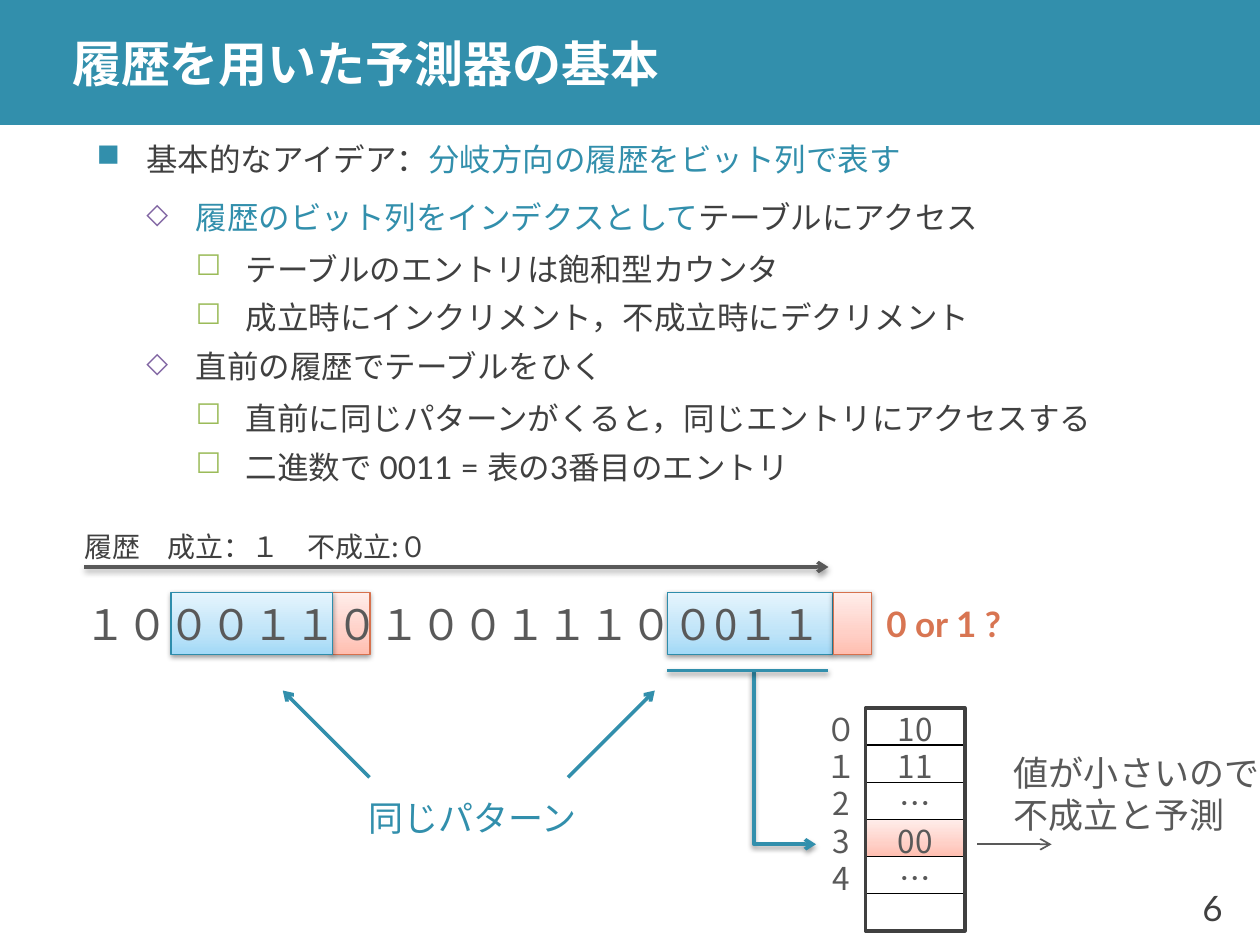
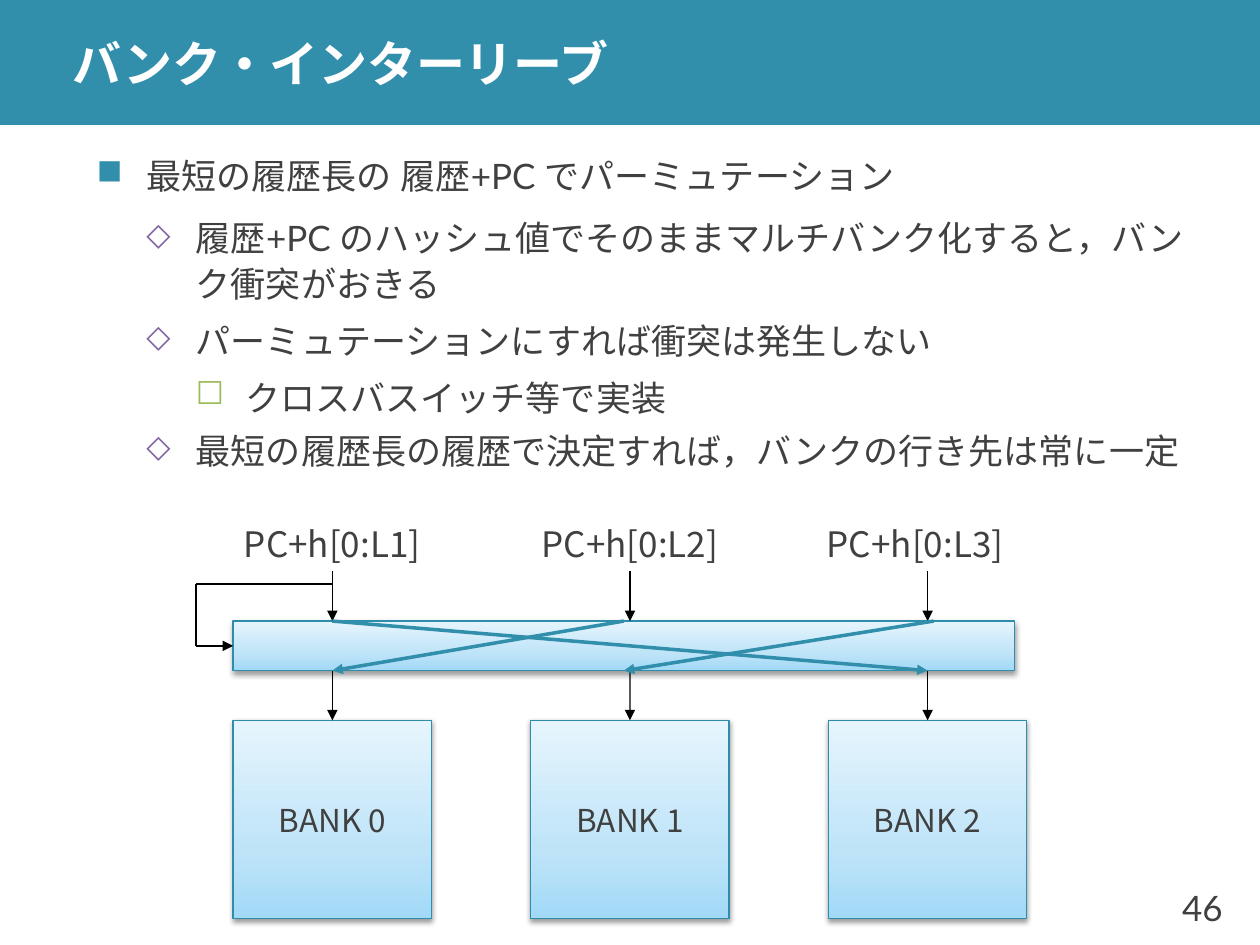
from lxml.etree import SubElement
from pptx import Presentation
from pptx.dml.color import RGBColor
from pptx.enum.shapes import MSO_CONNECTOR, MSO_SHAPE
from pptx.enum.text import MSO_ANCHOR, MSO_AUTO_SIZE, PP_ALIGN
from pptx.oxml.ns import qn
from pptx.util import Cm, Pt

LATO, NOTO = "Lato", "Noto Sans CJK JP"
TEAL, EDGE, RUST = "328FAC", "2E8DAB", "D7714D"
DARK, GRAY, BLACK, WHITE = "404040", "595959", "000000", "FFFFFF"
SKY = ("A2D9F7", "BFE4F8", "E6F5FD")
ROSE = ("FFBEB0", "FFD0C7", "FFEDEA")
MARKS = (
    ("■", TEAL, 100, 6),
    ("◇", "8064A2", 90, 3),
    ("☐", "9BBB59", 90, 1),
)
rgb = RGBColor.from_string


def box(page, x, y, w, h, text="", size=18, tint=GRAY, face=NOTO, fill=None,
        line=None, width=0.75, cast=False, align=PP_ALIGN.CENTER, bold=False, tight=False):
    area = Cm(x), Cm(y), Cm(w), Cm(h)
    if fill or line:
        shape = page.shapes.add_shape(MSO_SHAPE.RECTANGLE, *area)
        props = shape._element.spPr
        if isinstance(fill, tuple):
            grad = SubElement(props, qn("a:gradFill"), rotWithShape="1")
            stops = SubElement(grad, qn("a:gsLst"))
            for pos, tone in zip((0, 35000, 100000), fill):
                stop = SubElement(stops, qn("a:gs"), pos=str(pos))
                SubElement(stop, qn("a:srgbClr"), val=tone)
            SubElement(grad, qn("a:lin"), ang="16200000", scaled="1")
        elif fill:
            shape.fill.solid()
            shape.fill.fore_color.rgb = rgb(fill)
        else:
            shape.fill.background()
        if line:
            shape.line.color.rgb = rgb(line)
            shape.line.width = Pt(width)
        else:
            shape.line.fill.background()
        shape.shadow.inherit = False
        if cast:
            glow = SubElement(props.find(qn("a:effectLst")), qn("a:outerShdw"),
                              blurRad="39000", dist="20000", dir="5400000", rotWithShape="0")
            SubElement(SubElement(glow, qn("a:srgbClr"), val=BLACK), qn("a:alpha"), val="38000")
    else:
        shape = page.shapes.add_textbox(*area)
    if text:
        frame = shape.text_frame
        frame.text = text
        frame.word_wrap = False
        frame.auto_size = MSO_AUTO_SIZE.NONE
        frame.vertical_anchor = MSO_ANCHOR.MIDDLE
        if tight:
            frame.margin_left = frame.margin_right = frame.margin_bottom = 0
            frame.margin_top = Cm(0.1)
        for para in frame.paragraphs:
            para.alignment = align
            font = para.font
            font.name, font.size, font.bold = face, Pt(size), bold
            font.color.rgb = rgb(tint)
            SubElement(font._element, qn("a:ea"), typeface=face)
    return shape


def wire(page, spots, tint=BLACK, width=0.75, tail=None, cast=False):
    dots = [(Cm(x), Cm(y)) for x, y in spots]
    if len(dots) == 2:
        line = page.shapes.add_connector(MSO_CONNECTOR.STRAIGHT, *dots[0], *dots[1])
        fx = None
    else:
        path = page.shapes.build_freeform(*dots[0])
        path.add_line_segments(dots[1:], close=False)
        line = path.convert_to_shape()
        line.fill.background()
    line.line.color.rgb = rgb(tint)
    line.line.width = Pt(width)
    props = line._element.spPr
    if tail:
        SubElement(props.find(qn("a:ln")), qn("a:tailEnd"), type=tail)
    fx = SubElement(props, qn("a:effectLst"))
    if cast:
        glow = SubElement(fx, qn("a:outerShdw"), blurRad="39000", dist="20000",
                          dir="5400000", rotWithShape="0")
        SubElement(SubElement(glow, qn("a:srgbClr"), val=BLACK), qn("a:alpha"), val="38000")
    return line


deck = Presentation()
deck.slide_width, deck.slide_height = Cm(25.4), Cm(19.05)
plain = deck.slide_layouts[5]

HOT = ("分岐方向の履歴をビット列で表す", "履歴のビット列をインデクスとして")
TALKS = (
    ("履歴を用いた予測器の基本", "6", (1.7, 4.52, 22.25, 3.5), 18, (
        (0, "基本的なアイデア：", HOT[0]),
        (1, HOT[1], "テーブルにアクセス"),
        (2, "テーブルのエントリは飽和型カウンタ"),
        (2, "成立時にインクリメント，不成立時にデクリメント"),
        (1, "直前の履歴でテーブルをひく"),
        (2, "直前に同じパターンがくると，同じエントリにアクセスする"),
        (2, "二進数で 0011 = 表の3番目のエントリ"),
    )),
    ("バンク・インターリーブ", "46", (1.7, 3.02, 23, 6.5), 20, (
        (0, "最短の履歴長の 履歴+PC でパーミュテーション"),
        (1, "履歴+PC のハッシュ値でそのままマルチバンク化すると，バンク衝突がおきる"),
        (1, "パーミュテーションにすれば衝突は発生しない"),
        (2, "クロスバスイッチ等で実装"),
        (1, "最短の履歴長の履歴で決定すれば，バンクの行き先は常に一定"),
    )),
)

pages = []
for name, count, area, size, items in TALKS:
    page = deck.slides.add_slide(plain)
    pages.append(page)
    if len(pages) == 1:
        band = box(page, 0, 0, 25.4, 2.52, fill=TEAL)
        plain.shapes._spTree.insert(2, band._element)

    title = page.shapes.title
    title.left, title.top, title.width, title.height = Cm(1.2), 0, Cm(24.2), Cm(2.52)
    frame = title.text_frame
    frame.text = name
    frame.auto_size = MSO_AUTO_SIZE.NONE
    frame.vertical_anchor = MSO_ANCHOR.MIDDLE
    frame.margin_top = frame.margin_bottom = 0
    para = frame.paragraphs[0]
    para.alignment = PP_ALIGN.LEFT
    para.font.name, para.font.size, para.font.bold = LATO, Pt(28), True
    para.font.color.rgb = rgb(WHITE)
    SubElement(para.font._element, qn("a:ea"), typeface=LATO)

    box(page, 23.2, 17.53, 1.7, 1.52, count, 20, DARK, LATO, align=PP_ALIGN.RIGHT)

    frame = page.shapes.add_textbox(*map(Cm, area)).text_frame
    frame.word_wrap = True
    frame.vertical_anchor = MSO_ANCHOR.MIDDLE
    for row, (level, *runs) in enumerate(items):
        para = frame.add_paragraph() if row else frame.paragraphs[0]
        mark, tone, scale, after = MARKS[level]
        props = para._p.get_or_add_pPr()
        props.set("marL", str(Cm(level + 1)))
        props.set("indent", str(Cm(-1)))
        SubElement(SubElement(props, qn("a:buClr")), qn("a:srgbClr"), val=tone)
        SubElement(props, qn("a:buSzPct"), val=str(scale * 1000))
        SubElement(props, qn("a:buChar"), char=mark)
        para.level = level
        para.line_spacing = 1.1
        para.space_before = Pt(3 if row else 0)
        para.space_after = Pt(after)
        para.font.name, para.font.size = LATO, Pt(size)
        para.font.color.rgb = rgb(DARK)
        SubElement(para.font._element, qn("a:ea"), typeface=LATO)
        for text in runs:
            run = para.add_run()
            run.text = text
            if text in HOT:
                run.font.color.rgb = rgb(TEAL)

past, bank = pages

for x, w, fill, edge in (
    (13.46, 3.33, SKY, EDGE),
    (6.7, 0.76, ROSE, RUST),
    (3.45, 3.25, SKY, EDGE),
    (16.81, 0.76, ROSE, RUST),
):
    box(past, x, 11.94, w, 1.25, fill=fill, line=edge, cast=True)
box(past, 1.45, 11.94, 19.76, 1.25, "１０００１１０１００１１１００0１１", 24, align=PP_ALIGN.LEFT)
box(past, 1.45, 10.52, 13, 1, "履歴　成立：１　不成立:０", 16, DARK, align=PP_ALIGN.LEFT)
wire(past, ((1.7, 11.43), (16.7, 11.43)), GRAY, 2, "arrow", True)

wire(past, ((15.2, 13.52), (15.2, 17.02), (16.45, 17.02)), TEAL, 2, "arrow", True)
wire(past, ((13.45, 13.52), (16.7, 13.52)), TEAL, 2, cast=True)
wire(past, ((7.45, 15.67), (5.7, 13.92)), TEAL, 2, "arrow")
wire(past, ((11.45, 15.67), (13.2, 13.92)), TEAL, 2, "arrow")
wire(past, ((19.7, 17.02), (21.2, 17.02)), GRAY, 1, "arrow")

box(past, 20.19, 15.03, 5.21, 1.95, "値が小さいので\n不成立と予測", 20, face=LATO, align=PP_ALIGN.LEFT)
box(past, 8.94, 15.92, 1.17, 1.12, "同じパターン", 20, TEAL, LATO)
box(past, 18.44, 12.01, 1.17, 1.12, "0 or 1 ?", 20, "D87552", LATO, bold=True)

for row, key, value, fill, edge, width in (
    (3, "3", "00", ROSE, RUST, 0.75),
    (0, "０", "10", WHITE, DARK, 0.5),
    (1, "１", "11", None, BLACK, 0.75),
    (2, "2", "…", None, BLACK, 0.75),
    (4, "4", "…", None, BLACK, 0.75),
):
    y = 14.27 + 0.75 * row
    box(past, 17.45, y, 2, 0.75, value, fill=fill, line=edge, width=width, tight=True)
    box(past, 16.45, y, 1, 0.75, key, tight=True)
box(past, 17.45, 14.27, 2, 4.5, line=DARK, width=2)

bar = box(bank, 4.7, 12.52, 15.75, 1, fill=SKY, line=EDGE, cast=True)
for col, left in enumerate((5.95, 11.95, 17.7)):
    mid = 6.7 + 6 * col
    cell = box(bank, mid - 2, 14.52, 4, 4, f"BANK {col}", tint=DARK, fill=SKY, line=EDGE, cast=True)
    wire(bank, ((mid, 13.52), (mid, 14.52)), tail="triangle").end_connect(cell, 0)
    wire(bank, ((mid, 11.52), (mid, 12.52)), tail="triangle")
    box(bank, left, 10.52, 1.5, 0.86, f"PC+h[0:L{col + 1}]", 20, DARK)

wire(bank, ((6.7, 11.77), (3.95, 11.77)))
wire(bank, ((3.95, 11.77), (3.95, 13.02)))
wire(bank, ((3.95, 13.02), (4.7, 13.02)), tail="triangle").end_connect(bar, 1)

wire(bank, ((6.7, 12.52), (18.7, 13.52)), TEAL, 2, "triangle")
wire(bank, ((12.58, 12.52), (6.7, 13.52)), TEAL, 2, "triangle").begin_connect(bar, 0)
wire(bank, ((18.82, 12.52), (12.58, 13.52)), TEAL, 2, "triangle").end_connect(bar, 2)

deck.save("out.pptx")
